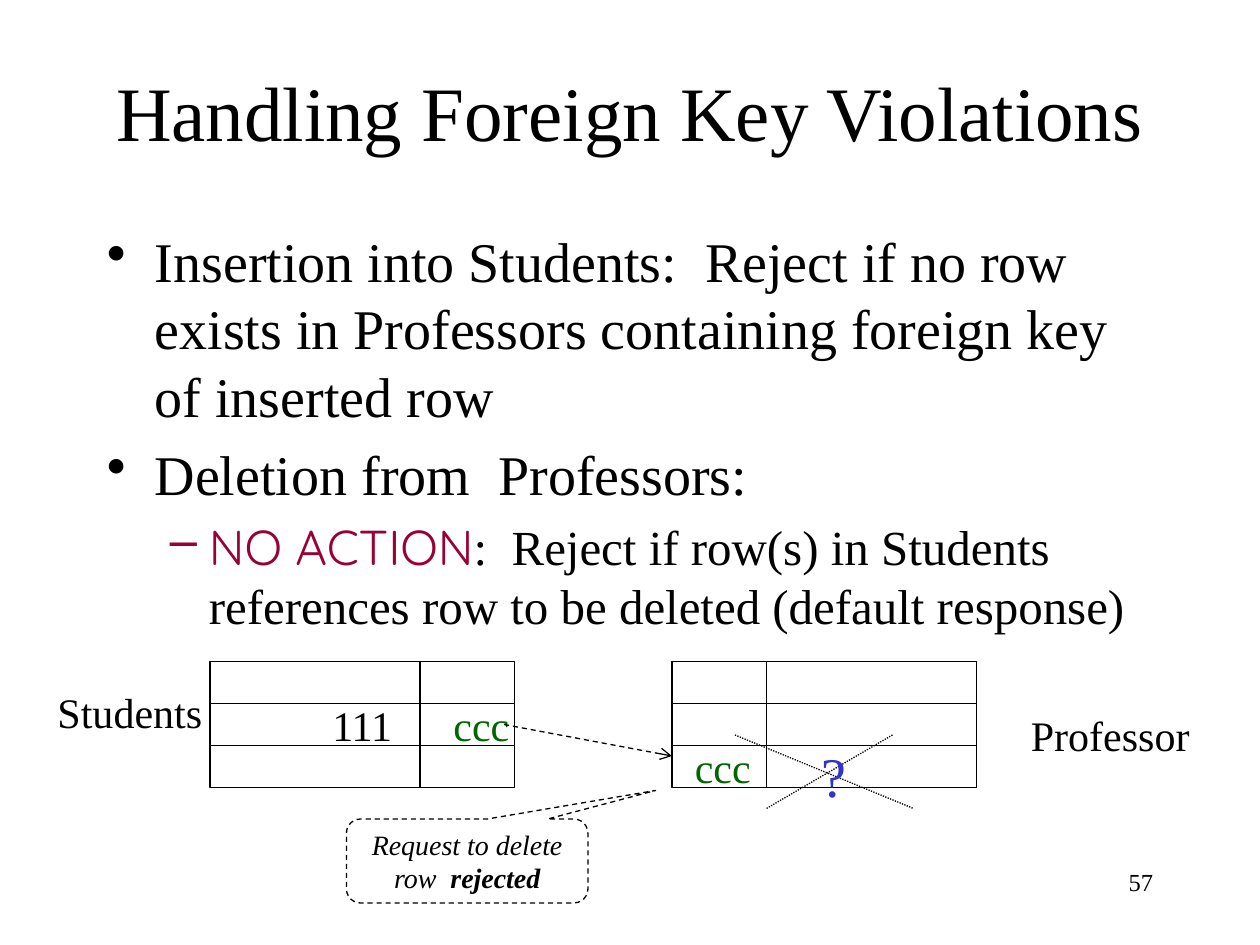
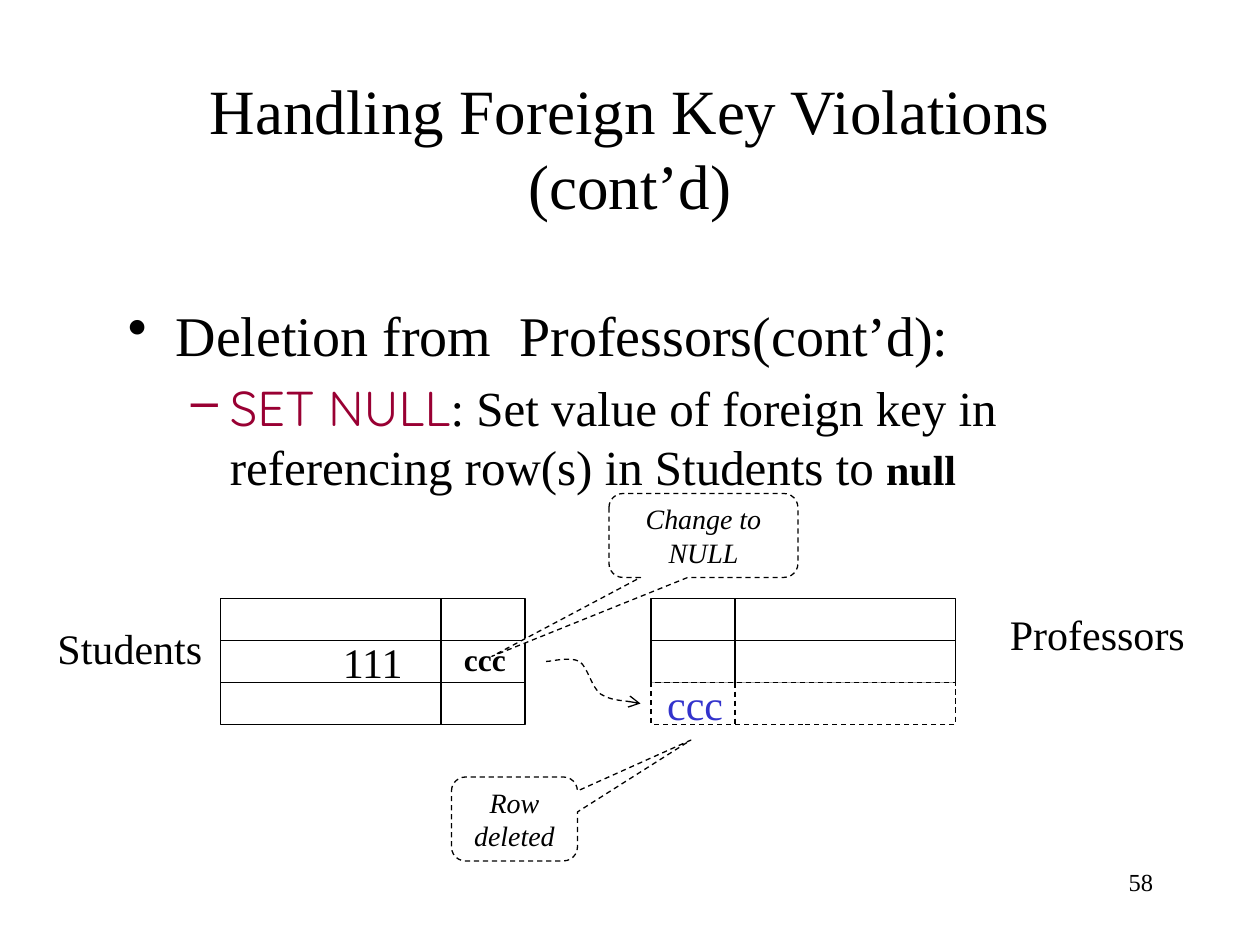
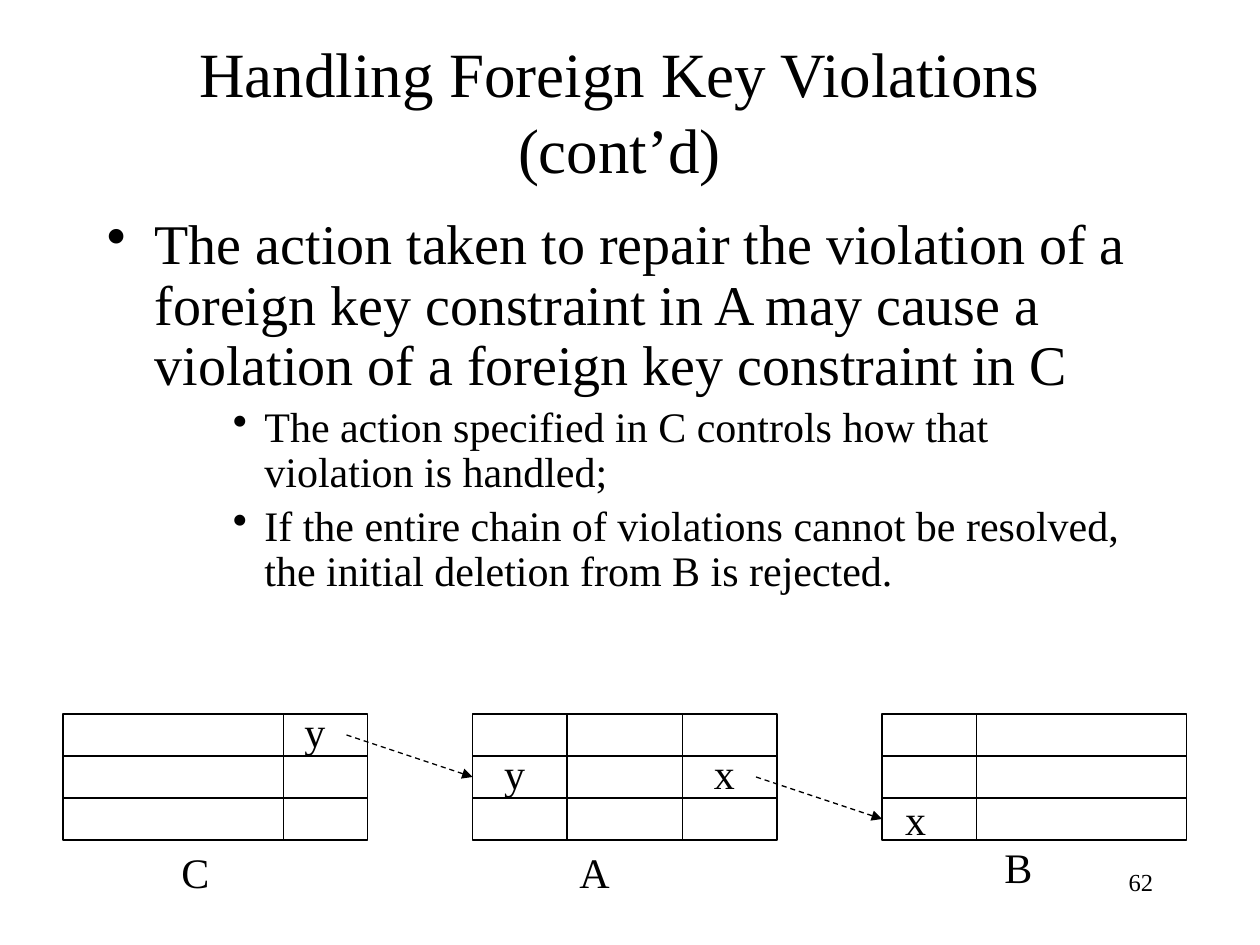
from typing import NamedTuple

from lxml.etree import SubElement
from pptx import Presentation
from pptx.dml.color import RGBColor
from pptx.enum.dml import MSO_LINE as Dash
from pptx.enum.shapes import MSO_CONNECTOR as Link, MSO_SHAPE as Preset
from pptx.enum.text import MSO_ANCHOR as Anchor, MSO_AUTO_SIZE as AutoSize, PP_ALIGN as Align
from pptx.oxml.ns import qn
from pptx.util import Inches, Pt

COLUMNS, ROWS = 120, 90
CELL = Inches(10) // COLUMNS
ROW_HEIGHT = 4
TABLE_WIDTH = 29
LABEL_HEIGHT = 6


class Box(NamedTuple):
    """A region in grid columns and rows."""
    left: float
    top: float
    width: float
    height: float

    def inner(self, left, top, width, height=LABEL_HEIGHT):
        """Return a box placed from this box's corner."""
        return Box(self.left + left, self.top + top, width, height)

    def point(self, across, down):
        """Return a point placed from this box's corner."""
        return self.left + across, self.top + down


class Style(NamedTuple):
    """The look of a run of text."""
    size: int
    color: str = "000000"
    name: str = "Times New Roman"
    bold: bool = False
    italic: bool = False


class Theme:
    """Colours, type sizes and line weights shared by the slides."""
    ink, paper = "000000", "FFFFFF"
    rule = Pt(0.75)
    title = Style(44)
    long_title = Style(36)
    point = Style(32)
    action = Style(28)
    keyword = Style(28, "990033", "Quicksand")
    detail = Style(24)
    strong = Style(24, bold=True)
    foreign_key = Style(24, "006600")
    deleted_key = Style(24, "3333CC")
    question = Style(32, "3333CC")
    cleared_key = Style(18, bold=True)
    note = Style(16, italic=True)
    note_strong = Style(16, bold=True, italic=True)
    number = Style(14)
    bullets = ((0.38, -0.38, "•"), (0.81, -0.31, "–"), (1.25, -0.25, "•"))


def apply(target, **formats):
    """Set each format value on the target."""
    for key, value in formats.items():
        setattr(target, key, value)


def emu(*lengths):
    """Convert grid lengths to slide units."""
    return [round(length * CELL) for length in lengths]


def write_runs(paragraph, runs):
    """Add styled runs to a paragraph."""
    for text, style in runs:
        run = paragraph.add_run()
        run.text = text
        apply(run.font, name=style.name, size=Pt(style.size),
              bold=style.bold, italic=style.italic)
        run.font.color.rgb = RGBColor.from_string(style.color)


def format_line(line, dash=None, arrow=None):
    """Give a line its colour, weight, dash and arrowhead."""
    line.color.rgb = RGBColor.from_string(Theme.ink)
    line.width = Theme.rule
    if dash:
        line.dash_style = dash
    if arrow:
        SubElement(line._get_or_add_ln(), qn("a:tailEnd"), type=arrow)


def draw_line(slide, start, end, dash=None, arrow=None):
    """Draw a straight connector between two grid points."""
    connector = slide.shapes.add_connector(Link.STRAIGHT, *emu(*start, *end))
    format_line(connector.line, dash, arrow)
    SubElement(connector._element.spPr, qn("a:effectLst"))
    return connector


def draw_shape(slide, box, preset=Preset.RECTANGLE, runs=(), dash=None, wrap=True):
    """Draw an outlined shape with centred text."""
    shape = slide.shapes.add_shape(preset, *emu(*box))
    shape.shadow.inherit = False
    shape.fill.solid()
    shape.fill.fore_color.rgb = RGBColor.from_string(Theme.paper)
    format_line(shape.line, dash)
    apply(shape.text_frame, word_wrap=wrap, vertical_anchor=Anchor.MIDDLE)
    paragraph = shape.text_frame.paragraphs[0]
    paragraph.alignment = Align.CENTER
    write_runs(paragraph, runs)
    return shape


def draw_label(slide, box, text, style=Theme.detail, align=Align.LEFT, wrap=False):
    """Place a short text that fits its box."""
    frame = slide.shapes.add_textbox(*emu(*box)).text_frame
    apply(frame, word_wrap=wrap, auto_size=AutoSize.SHAPE_TO_FIT_TEXT)
    paragraph = frame.paragraphs[0]
    paragraph.alignment = align
    write_runs(paragraph, [(text, style)])


def draw_relation(slide, box, splits, value="", dash=None):
    """Draw a relation as a frame with row and column rules."""
    runs = [(value, Theme.detail)] if value else []
    frame = draw_shape(slide, box, runs=runs, dash=dash, wrap=False)
    for down in range(ROW_HEIGHT, box.height, ROW_HEIGHT):
        rule = draw_line(slide, box.point(0, down), box.point(box.width, down), dash)
        if down * 2 == box.height:
            rule.begin_connect(frame, 1)
            rule.end_connect(frame, 3)
    for across in splits:
        draw_line(slide, box.point(across, 0), box.point(across, box.height), dash)
    return frame


def draw_callout(slide, box, tip, runs):
    """Draw a dashed callout whose tip is given in shares of its size."""
    callout = draw_shape(slide, box, Preset.ROUNDED_RECTANGULAR_CALLOUT, runs, Dash.DASH)
    callout.adjustments[0], callout.adjustments[1] = tip


def draw_curve(slide, box, controls):
    """Draw a dashed Bezier arrow from the box's corner."""
    builder = slide.shapes.build_freeform(*emu(*box.point(0, 0)))
    builder.add_line_segments([emu(*box.point(*spot)) for spot in controls], close=False)
    curve = builder.convert_to_shape()
    curve.shadow.inherit = False
    curve.fill.background()
    format_line(curve.line, Dash.DASH, "arrow")
    outline = next(curve._element.iter(qn("a:path")))
    for index, segment in enumerate(outline.findall(qn("a:lnTo"))):
        if index % 3 == 0:
            bezier = SubElement(outline, qn("a:cubicBezTo"))
        bezier.append(segment[0])
        outline.remove(segment)


def start_slide(deck, title_box, title, style, number):
    """Add a slide with its title and page number."""
    slide = deck.slides.add_slide(deck.slide_layouts[5])
    heading = slide.shapes.title
    apply(heading, **dict(zip(("left", "top", "width", "height"), emu(*title_box))))
    apply(heading.text_frame, vertical_anchor=Anchor.MIDDLE, word_wrap=True,
          auto_size=AutoSize.NONE)
    paragraph = heading.text_frame.paragraphs[0]
    paragraph.alignment = Align.CENTER
    write_runs(paragraph, [(title, style)])
    draw_label(slide, Box(86, 82, 25, 6), number, Theme.number, Align.RIGHT, wrap=True)
    return slide


def write_body(slide, box, points, spacing=1.0):
    """Write bulleted points, each a level and its runs."""
    frame = slide.shapes.add_textbox(*emu(*box)).text_frame
    frame.word_wrap = True
    for index, (level, runs) in enumerate(points):
        paragraph = frame.add_paragraph() if index else frame.paragraphs[0]
        margin, indent, mark = Theme.bullets[level]
        properties = paragraph._p.get_or_add_pPr()
        properties.set("marL", str(Inches(margin)))
        properties.set("indent", str(Inches(indent)))
        SubElement(properties, qn("a:buChar"), char=mark)
        apply(paragraph, level=level, line_spacing=spacing)
        if index:
            paragraph.space_before = Pt(runs[0][1].size * 0.2)
        write_runs(paragraph, runs)


def draw_rejection(slide, box):
    """Show a deletion rejected because a row still refers to it."""
    students = box.inner(0, 0, TABLE_WIDTH, 12)
    professors = box.inner(44, 0, TABLE_WIDTH, 12)
    draw_relation(slide, professors, [9])
    draw_relation(slide, students, [20], "111")
    draw_label(slide, students.inner(22, 3, 10), "ccc", Theme.foreign_key, wrap=True)
    draw_label(slide, professors.inner(1, 7, 7.8), "ccc", Theme.foreign_key)
    draw_line(slide, students.point(28, 6), professors.point(0, 9), Dash.DASH, "arrow")
    draw_label(slide, students.inner(-15.7, 1.8, 16.3), "Students")
    draw_label(slide, professors.inner(33, 4, 17.6), "Professor")
    for start, end in (((6, 7), (23, 14)), ((21, 7), (9, 14))):
        draw_line(slide, professors.point(*start), professors.point(*end), Dash.ROUND_DOT)
    draw_label(slide, professors.inner(13, 7, 4.8, 7.5), "?", Theme.question, Align.CENTER)
    draw_callout(slide, box.inner(13, 15, 23, 8), (0.78, -0.84),
                 [("Request to delete row  ", Theme.note), ("rejected", Theme.note_strong)])


def draw_nulling(slide, box):
    """Show a deleted row and the reference set to null."""
    students = box.inner(0, 0, TABLE_WIDTH, 12)
    professors = box.inner(41, 0, TABLE_WIDTH, 8)
    deleted = professors.inner(0, 8, TABLE_WIDTH, ROW_HEIGHT)
    draw_relation(slide, students, [21], "111")
    draw_label(slide, students.inner(22, 3.4, 6.5, 4.8), "ccc", Theme.cleared_key)
    draw_relation(slide, professors, [8])
    draw_label(slide, students.inner(-16.7, 1.7, 16.3), "Students")
    draw_label(slide, professors.inner(33, 0.4, 19.3), "Professors")
    draw_relation(slide, deleted, [8], dash=Dash.DASH)
    draw_label(slide, deleted.inner(0.3, -1, 7.8), "ccc", Theme.deleted_key, Align.CENTER)
    draw_callout(slide, box.inner(22, 17, 12, 8), (1.4, -0.94), [("Row deleted", Theme.note)])
    draw_curve(slide, box.inner(31, 6, 9, 4),
               [(0.6, 0), (2.2, -0.5), (3.2, 0), (4, 0.6), (4.3, 2.4), (5.2, 3.1),
                (6.2, 3.7), (8.2, 3.8), (9, 4)])
    draw_callout(slide, box.inner(37, -10, 18, 8), (-1.12, 1.44),
                 [("Change to NULL", Theme.note)])


def draw_chain(slide, box):
    """Show relations C, A and B linked by foreign keys."""
    places = [box.inner(39 * step, 0, TABLE_WIDTH, 12) for step in range(3)]
    frames = [draw_relation(slide, place, splits)
              for place, splits in zip(places, ([21], [9, 20], [9]))]
    c, a, b = places
    texts = ((b, 1, 7, "x"), (a, 21.8, 2.6, "x"), (a, 1.8, 2.6, "y"), (c, 21.8, -1.4, "y"),
             (c, 10, 12, "C"), (a, 9, 12, "A"), (b, 10.4, 11.6, "B"))
    for place, across, down, text in texts:
        width = 5.2 if text.isupper() else 4.4
        draw_label(slide, place.inner(across, down, width), text, align=Align.CENTER)
    to_a = draw_line(slide, c.point(27, 2), a.point(0, 6), Dash.DASH, "triangle")
    to_a.end_connect(frames[1], 1)
    draw_line(slide, a.point(27, 6), b.point(0, 10), Dash.DASH, "triangle")


def build_no_action(deck):
    """Build the slide on rejecting violations."""
    slide = start_slide(deck, Box(9, 5, 102, 11), "Handling Foreign Key Violations",
                        Theme.title, "57")
    write_body(slide, Box(9, 21, 102, 36), [
        (0, [("Insertion into Students:  Reject if no row exists in Professors "
              "containing foreign key of inserted row", Theme.point)]),
        (0, [("Deletion from  Professors:", Theme.point)]),
        (1, [("NO ACTION", Theme.keyword),
             (":  Reject if row(s) in Students references row to be deleted "
              "(default response)", Theme.action)])])
    draw_rejection(slide, Box(20, 63, 73, 23))


def build_set_null(deck):
    """Build the slide on setting references to null."""
    slide = start_slide(deck, Box(9, 5, 102, 18), "Handling Foreign Key Violations (cont’d)",
                        Theme.long_title, "58")
    write_body(slide, Box(11, 28, 102, 54), [
        (0, [("Deletion from  Professors(cont’d):", Theme.point)]),
        (1, [("SET NULL", Theme.keyword),
             (": Set value of foreign key in referencing row(s) in Students to ", Theme.action),
             ("null", Theme.strong)])])
    draw_nulling(slide, Box(21, 57, 70, 25))


def build_chain(deck):
    """Build the slide on chained violations."""
    slide = start_slide(deck, Box(8, 3, 102, 15), "Handling Foreign Key Violations (cont’d)",
                        Theme.long_title, "62")
    write_body(slide, Box(9, 20, 100, 41), [
        (0, [("The action taken to repair the violation of a foreign key constraint "
              "in A may cause a violation of a foreign key constraint in C", Theme.point)]),
        (2, [("The action specified in C controls how that violation is handled;",
              Theme.detail)]),
        (2, [("If the entire chain of violations cannot be resolved, the initial "
              "deletion from B is rejected.", Theme.detail)])], spacing=0.9)
    draw_chain(slide, Box(6, 68, 107, 18))


def main():
    """Build and save the deck."""
    deck = Presentation()
    deck.slide_width, deck.slide_height = emu(COLUMNS, ROWS)
    for build in (build_no_action, build_set_null, build_chain):
        build(deck)
    deck.save("out.pptx")


if __name__ == "__main__":
    main()
